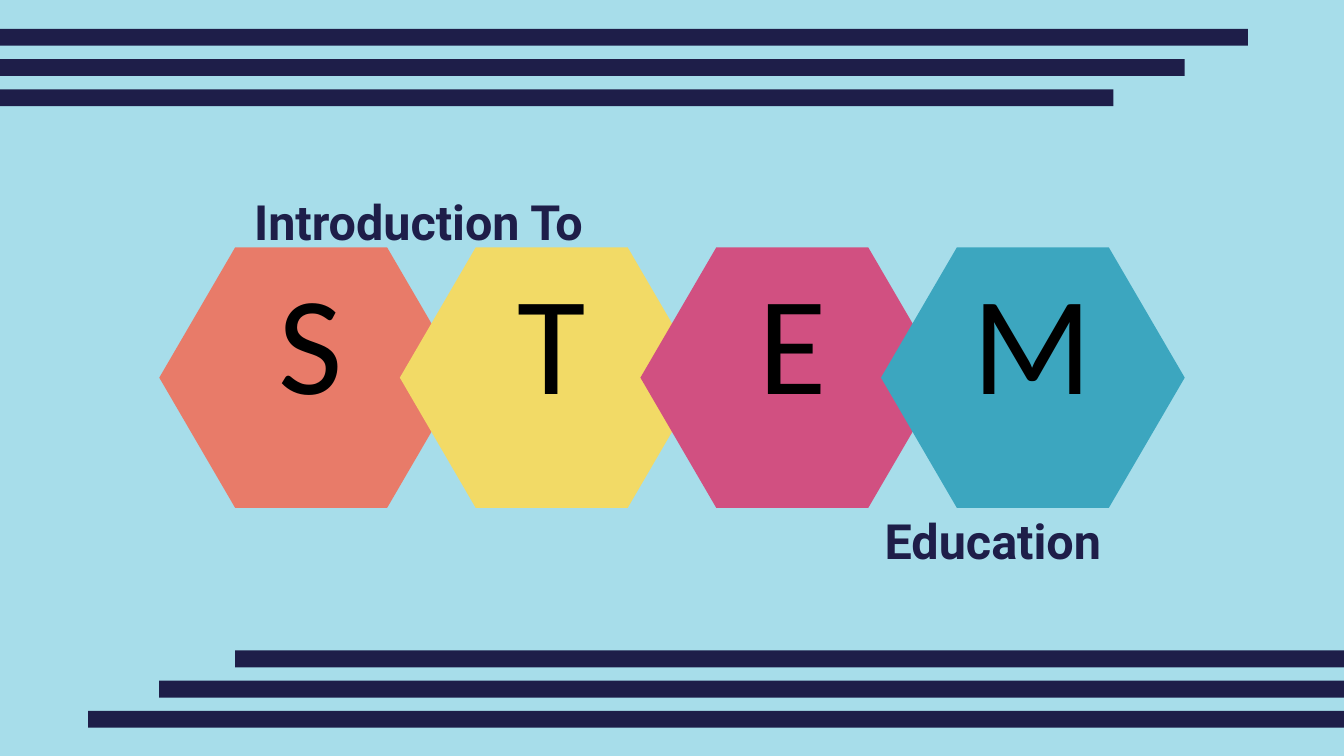
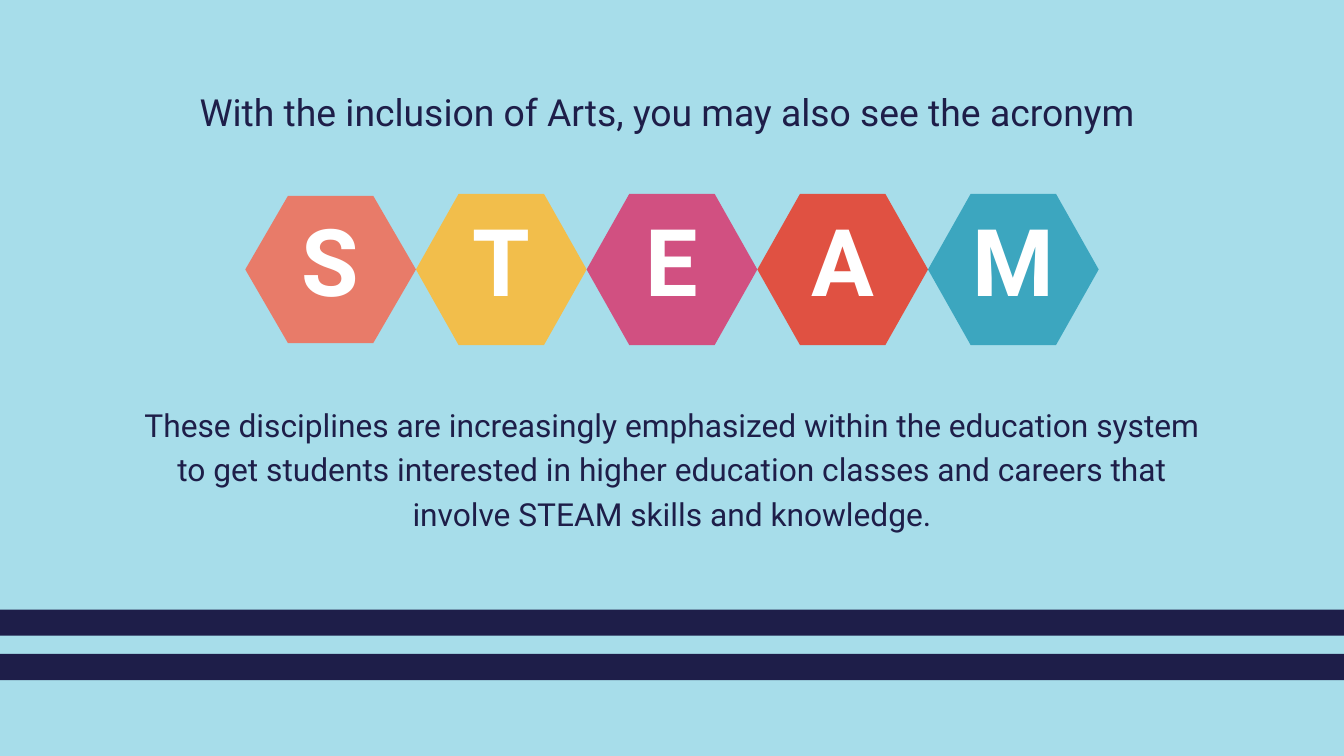
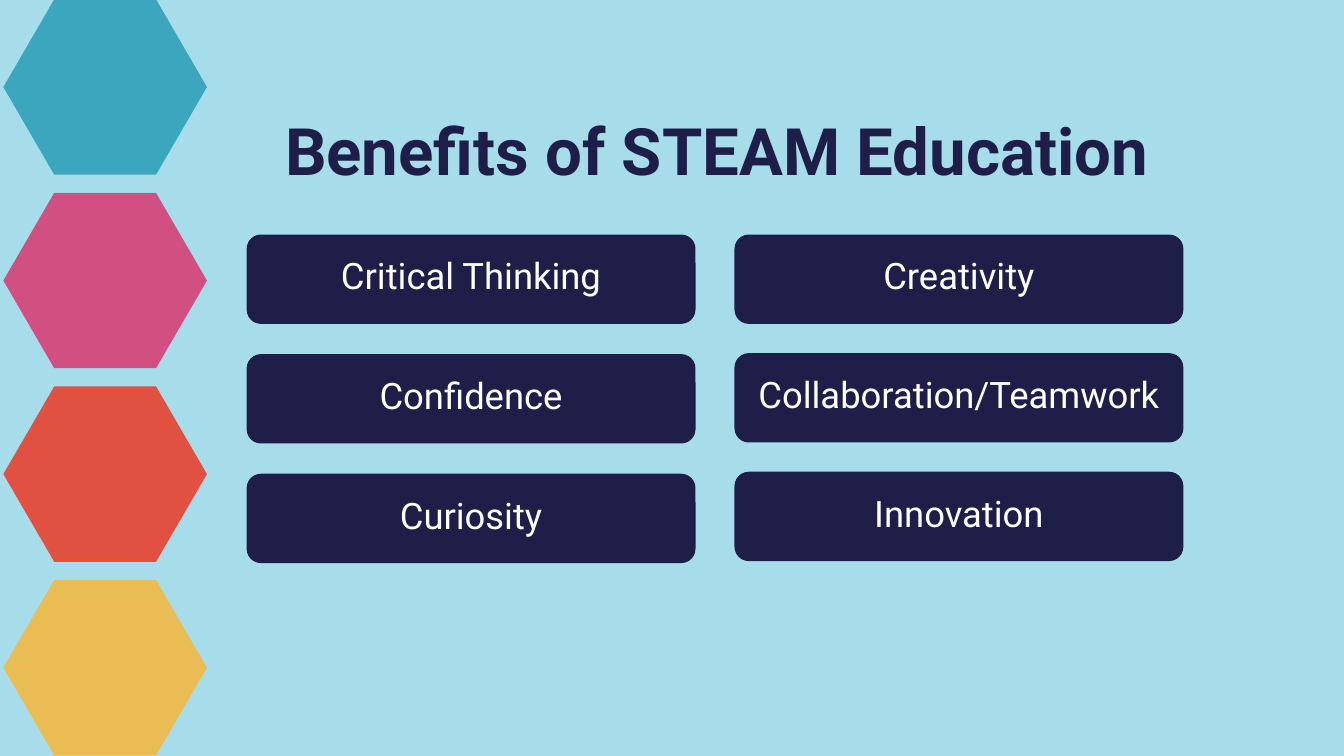
import pptx
import pptx.dml.color
import pptx.enum.shapes
import pptx.enum.text
import pptx.util

Inches = pptx.util.Inches
Pt = pptx.util.Pt
RGB = pptx.dml.color.RGBColor
SHAPE = pptx.enum.shapes.MSO_SHAPE
ANCHOR = pptx.enum.text.MSO_ANCHOR

SKY = RGB(0xA7, 0xDD, 0xEA)
NAVY = RGB(0x1E, 0x1E, 0x49)
CORAL = RGB(0xE8, 0x7B, 0x69)
LEMON = RGB(0xF2, 0xDA, 0x66)
AMBER = RGB(0xF2, 0xBE, 0x4B)
SAND = RGB(0xEA, 0xBC, 0x54)
PINK = RGB(0xD1, 0x50, 0x81)
RED = RGB(0xE0, 0x51, 0x42)
TEAL = RGB(0x3C, 0xA6, 0xBF)
WHITE = RGB(0xFF, 0xFF, 0xFF)
BLACK = RGB(0x00, 0x00, 0x00)

WIDTH, HEIGHT = 20, 11.25
HEADING_FONT = "Roboto"
LETTER_FONT = "Calibri"
LINE_RATIO = 1.4
PADDING = 0.06

STEM = [("S", CORAL), ("T", LEMON), ("E", PINK), ("M", TEAL)]
STEM_CAPTIONS = [
    ("Introduction To", (3.5, 2.71, 5.46, 0.97)),
    ("Education", (12.88, 7.46, 3.79, 0.97)),
]
TOP_STRIPE_ENDS = [18.57, 17.63, 16.57]
BOTTOM_STRIPE_STARTS = [3.5, 2.37, 1.31]

STEAM = [
    ("S", CORAL, 2.19),
    ("T", AMBER, 2.25),
    ("E", PINK, 2.25),
    ("A", RED, 2.25),
    ("M", TEAL, 2.25),
]
STEAM_LEAD = "With the inclusion of Arts, you may also see the acronym "
STEAM_PURPOSE = (
    "These disciplines are increasingly emphasized within the education system "
    "to get students interested in higher education classes and careers that "
    "involve STEAM skills and knowledge."
)
BAND_TOPS = [9.07, 9.73]

BENEFITS_TITLE = "Benefits of STEAM Education"
BENEFIT_COLUMNS = [
    (3.67, 1.78, ["Critical Thinking", "Confidence", "Curiosity"]),
    (10.93, 1.765, ["Creativity", "Collaboration/Teamwork", "Innovation"]),
]
SIDE_COLORS = [TEAL, PINK, RED, SAND]


def new_slide(deck):
    slide = deck.slides.add_slide(deck.slide_layouts[6])
    slide.background.fill.solid()
    slide.background.fill.fore_color.rgb = SKY
    return slide


def add_block(slide, kind, box, color):
    block = slide.shapes.add_shape(kind, *map(Inches, box))
    block.shadow.inherit = False
    block.fill.solid()
    block.fill.fore_color.rgb = color
    block.line.fill.background()
    return block


def add_hexagon(slide, box, color):
    hexagon = add_block(slide, SHAPE.HEXAGON, box, color)
    hexagon.adjustments[0] = box[2] / 4 / box[3]


def write(frame, words, size, color, bold=False, font=HEADING_FONT,
          anchor=ANCHOR.TOP, insets=(0, 0, 0, 0)):
    frame.word_wrap = True
    frame.vertical_anchor = anchor
    (frame.margin_left, frame.margin_top,
     frame.margin_right, frame.margin_bottom) = map(Inches, insets)
    paragraph = frame.paragraphs[0]
    paragraph.alignment = pptx.enum.text.PP_ALIGN.CENTER
    paragraph.line_spacing = Pt(size * LINE_RATIO)
    run = paragraph.add_run()
    run.text = words
    run.font.name = font
    run.font.size = Pt(size)
    run.font.bold = bold
    run.font.color.rgb = color


def add_text(slide, words, box, size, color=NAVY, **style):
    frame = slide.shapes.add_textbox(*map(Inches, box)).text_frame
    write(frame, words, size, color, **style)


def add_letter_tile(slide, letter, box, color, side, rise, size, ink, **style):
    left, top, width, height = box
    add_hexagon(slide, box, color)
    letter_box = (left + side, top - rise, width - 2 * side, height + rise)
    add_text(slide, letter, letter_box, size, ink,
             anchor=ANCHOR.MIDDLE, insets=(PADDING,) * 4, **style)


def build_intro(deck):
    slide = new_slide(deck)
    for index, (letter, color) in enumerate(STEM):
        add_letter_tile(slide, letter, (2.37 + 3.58 * index, 3.68, 4.52, 3.88),
                        color, 0.64, 1.59, 150, BLACK, font=LETTER_FONT)
    for row, (end, start) in enumerate(zip(TOP_STRIPE_ENDS, BOTTOM_STRIPE_STARTS)):
        drop = 0.45 * row
        add_block(slide, SHAPE.RECTANGLE, (0, 0.43 + drop, end, 0.25), NAVY)
        add_block(slide, SHAPE.RECTANGLE,
                  (start, 9.68 + drop, WIDTH - start, 0.25), NAVY)
    for caption, box in STEM_CAPTIONS:
        add_text(slide, caption, box, 52, bold=True)


def build_acronym(deck):
    slide = new_slide(deck)
    tile_width = 2.54
    row_left = (WIDTH - tile_width * len(STEAM)) / 2
    for index, (letter, color, height) in enumerate(STEAM):
        box = (row_left + tile_width * index, 4.01 - height / 2, tile_width, height)
        add_letter_tile(slide, letter, box, color, 0.36, 0.59, 100, WHITE, bold=True)
    add_text(slide, STEAM_LEAD, (1.12, 1.21, 17.75, 0.75), 40)
    add_text(slide, STEAM_PURPOSE, (2.02, 5.94, 15.96, 1.95), 34)
    for top in BAND_TOPS:
        add_block(slide, SHAPE.RECTANGLE, (0, top, WIDTH, 0.39), NAVY)


def build_benefits(deck):
    slide = new_slide(deck)
    for left, pitch, benefits in BENEFIT_COLUMNS:
        for row, benefit in enumerate(benefits):
            pill = add_block(slide, SHAPE.ROUNDED_RECTANGLE,
                             (left, 3.49 + pitch * row, 6.68, 1.33), NAVY)
            pill.adjustments[0] = 0.16
            write(pill.text_frame, benefit, 39, WHITE, anchor=ANCHOR.MIDDLE,
                  insets=(PADDING, PADDING, PADDING, PADDING + 0.22))
    for index, color in enumerate(SIDE_COLORS):
        add_hexagon(slide, (0.05, 2.88 * index - 0.01, 3.03, 2.61), color)
    add_text(slide, BENEFITS_TITLE, (3.1, 1.44, 15.13, 1.32), 70, bold=True)


def main():
    deck = pptx.Presentation()
    deck.slide_width = Inches(WIDTH)
    deck.slide_height = Inches(HEIGHT)
    build_intro(deck)
    build_acronym(deck)
    build_benefits(deck)
    deck.save("out.pptx")


if __name__ == "__main__":
    main()
